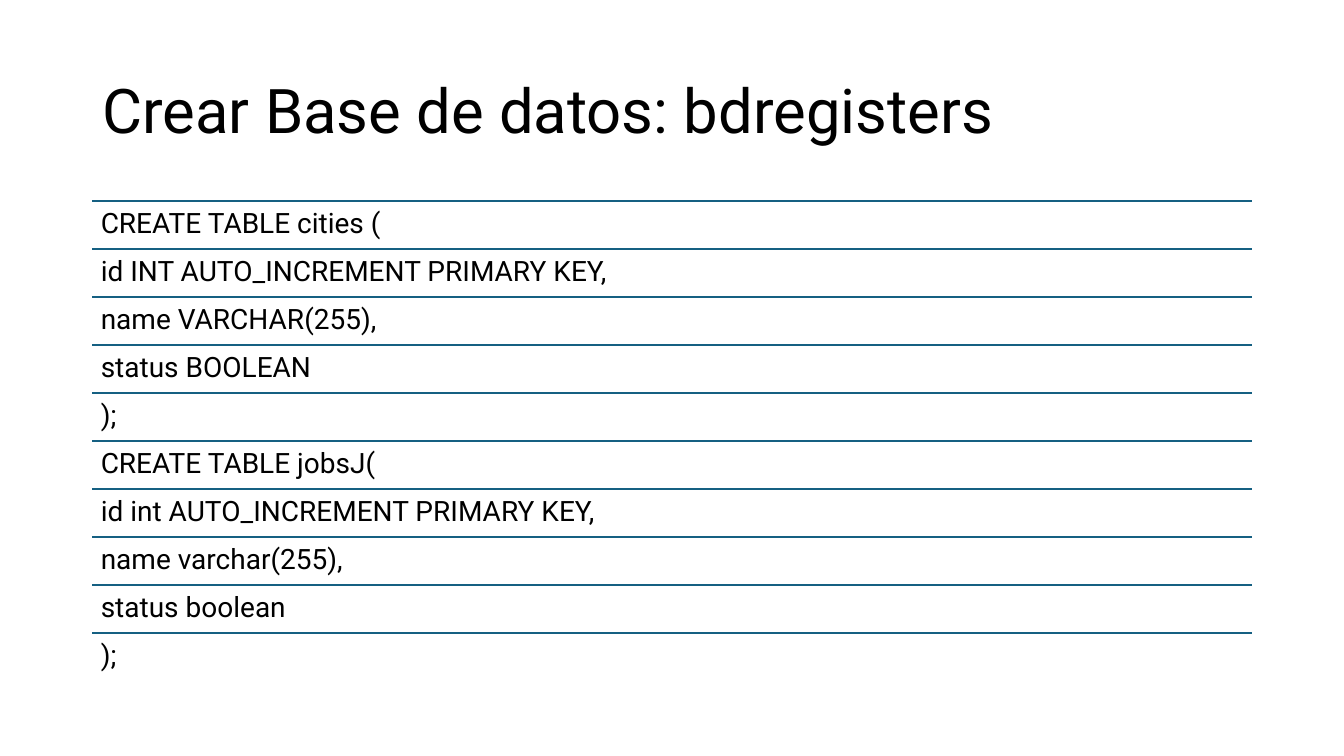
import lxml.etree
import pptx
import pptx.dml.color
import pptx.enum.shapes
import pptx.enum.text
import pptx.oxml.ns
import pptx.util
from pptx.util import Cm

FONT = "Roboto"
BLACK = "000000"
RULE_BLUE = "156082"
STATEMENTS = [
    "CREATE TABLE cities (",
    "id INT AUTO_INCREMENT PRIMARY KEY,",
    "name VARCHAR(255),",
    "status BOOLEAN",
    ");",
    "CREATE TABLE jobsJ(",
    "id int AUTO_INCREMENT PRIMARY KEY,",
    "name varchar(255),",
    "status boolean",
    ");",
]


def color(hex_string):
    return pptx.dml.color.RGBColor.from_string(hex_string)


def format_paragraph(paragraph, size):
    paragraph.alignment = pptx.enum.text.PP_ALIGN.LEFT
    paragraph.line_spacing = 0.9
    paragraph.font.name = FONT
    paragraph.font.size = pptx.util.Pt(size)
    paragraph.font.color.rgb = color(BLACK)


def place_title(title, text, left, top, width, height):
    title.left, title.top, title.width, title.height = left, top, width, height
    frame = title.text_frame
    frame.text = text
    frame.vertical_anchor = pptx.enum.text.MSO_ANCHOR.MIDDLE
    format_paragraph(frame.paragraphs[0], 44)


def add_rule(shapes, left, top, width):
    rule = shapes.add_connector(
        pptx.enum.shapes.MSO_CONNECTOR.STRAIGHT, left, top, left + width, top)
    rule.line.color.rgb = color(RULE_BLUE)
    rule.line.width = pptx.util.Pt(1.5)
    lxml.etree.SubElement(rule._element.spPr, pptx.oxml.ns.qn("a:effectLst"))


def add_statement(shapes, text, left, top, width, height):
    box = shapes.add_textbox(left, top, width, height)
    frame = box.text_frame
    frame.word_wrap = True
    frame.vertical_anchor = pptx.enum.text.MSO_ANCHOR.TOP
    frame.margin_left = frame.margin_right = Cm(0.21)
    frame.margin_top = frame.margin_bottom = Cm(0.21)
    frame.text = text
    format_paragraph(frame.paragraphs[0], 20)


def add_statement_list(slide, statements, left, top, width, height):
    """Stack the statements in equal rows, each under its own rule."""
    shapes = slide.shapes.add_group_shape().shapes
    row_height = height // len(statements)
    for index, statement in enumerate(statements):
        row_top = top + index * row_height
        add_rule(shapes, left, row_top, width)
        add_statement(shapes, statement, left, row_top, width, row_height)


def main():
    deck = pptx.Presentation()
    deck.slide_width = Cm(33.87)
    deck.slide_height = Cm(19.05)
    slide = deck.slides.add_slide(deck.slide_layouts.get_by_name("Title Only"))

    left, width = Cm(2.33), Cm(29.21)
    place_title(slide.shapes.title, "Crear Base de datos: bdregisters",
                left, Cm(1.01), width, Cm(3.68))
    add_statement_list(slide, STATEMENTS, left, Cm(5.07), width, Cm(12.09))
    deck.save("out.pptx")


if __name__ == "__main__":
    main()
